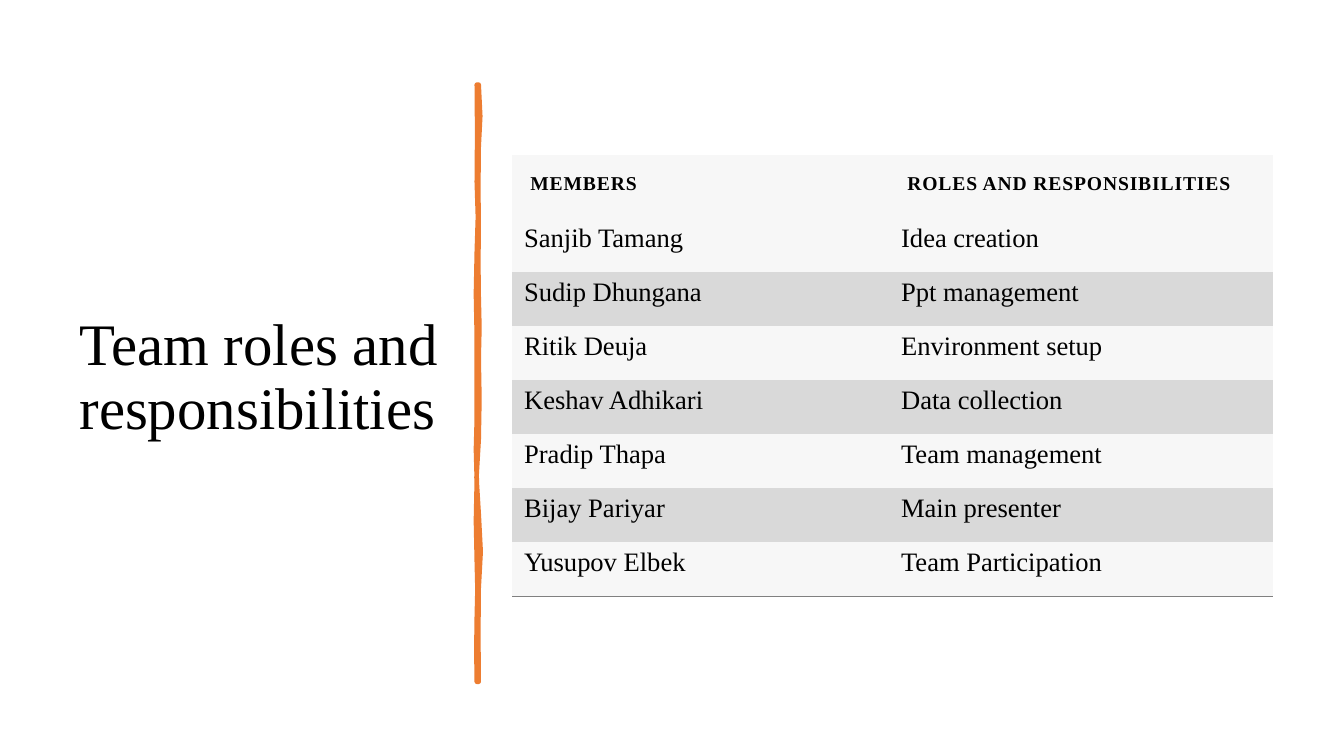
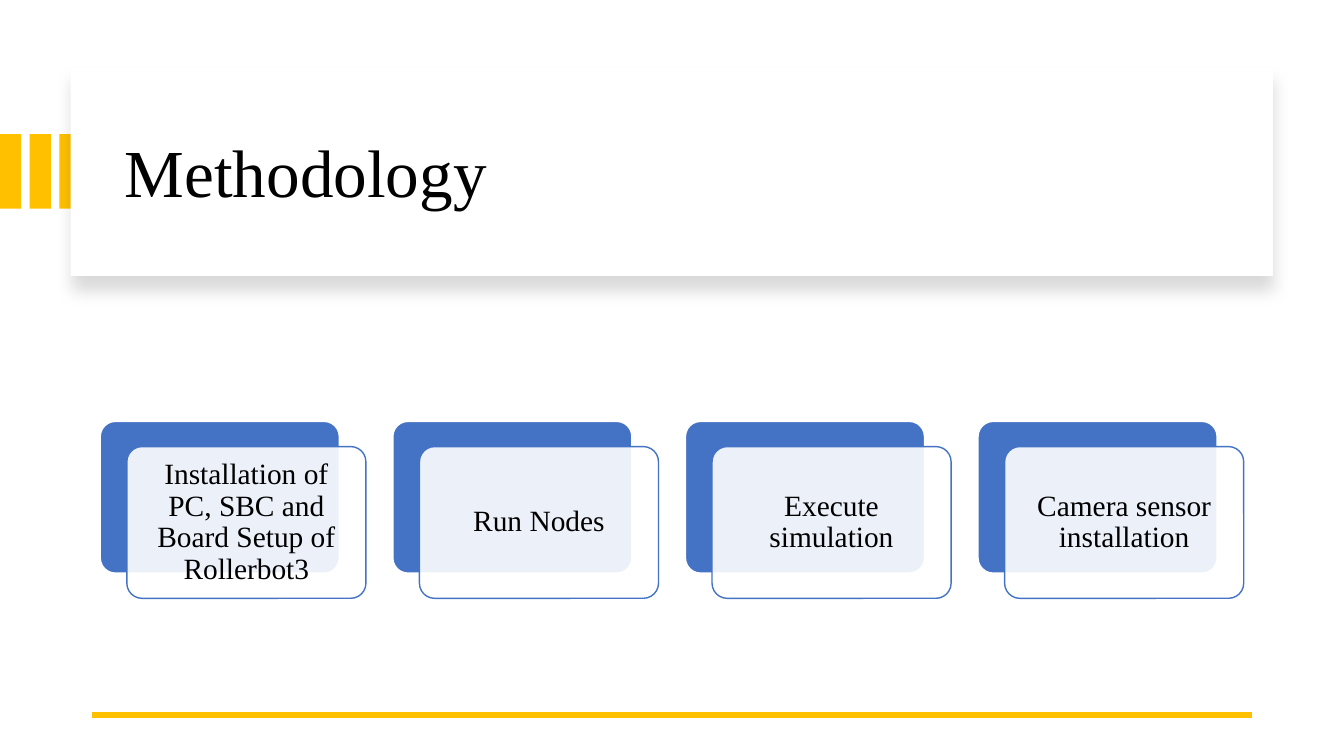
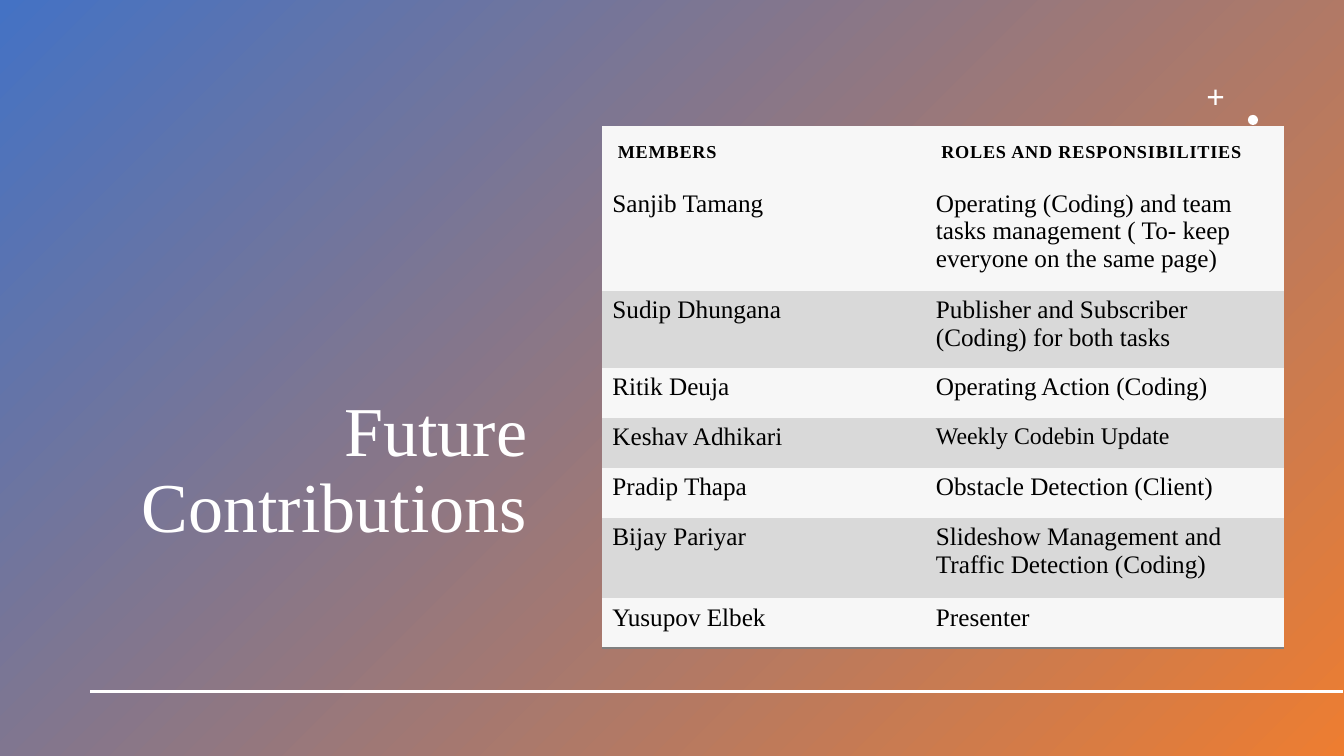
from dataclasses import dataclass

import pptx
import pptx.dml.color
import pptx.enum.shapes
import pptx.enum.text
import pptx.oxml
import pptx.oxml.ns
import pptx.util

Pt = pptx.util.Pt
qn = pptx.oxml.ns.qn
Kind = pptx.enum.shapes.MSO_SHAPE
Anchor = pptx.enum.text.MSO_ANCHOR
Align = pptx.enum.text.PP_ALIGN

FONT = "Times New Roman"
COLORS = {
    "text": "000000", "paper": "FFFFFF", "blue": "4472C4", "orange": "ED7D31",
    "gold": "FFC000", "light_row": "F7F7F7", "dark_row": "D9D9D9", "rule": "808080",
}
WIDTH, HEIGHT = 960, 540
NAMESPACE = pptx.oxml.ns.nsdecls("a")
NO_TABLE_STYLE = "{2D5ABB26-0587-4C30-8999-92F81FD0307C}"
MEMBERS = ("Sanjib Tamang", "Sudip Dhungana", "Ritik Deuja", "Keshav Adhikari",
           "Pradip Thapa", "Bijay Pariyar", "Yusupov Elbek")


@dataclass(frozen=True)
class Box:
    left: float
    top: float
    width: float
    height: float

    def lengths(self) -> tuple:
        return Pt(self.left), Pt(self.top), Pt(self.width), Pt(self.height)


@dataclass(frozen=True)
class Duty:
    text: str
    size: float | None = None


@dataclass(frozen=True)
class RolesTable:
    box: Box
    columns: tuple[float, float]
    row_heights: tuple[float, ...]
    header_size: float
    header_inset: float
    body_size: float
    body_inset: float
    duties: tuple[Duty, ...]


# Shared helpers
def rgb(name: str):
    return pptx.dml.color.RGBColor.from_string(COLORS[name])


def write_text(frame, text: str, *, size: float, color: str = "text", bold: bool = False,
               align=Align.LEFT, line_spacing: float = 1.0, tracking: float = 0) -> None:
    frame.word_wrap = True
    paragraph = frame.paragraphs[0]
    paragraph.alignment = align
    paragraph.line_spacing = line_spacing
    run = paragraph.add_run()
    run.text = text
    run.font.name = FONT
    run.font.size = Pt(size)
    run.font.bold = bold
    run.font.color.rgb = rgb(color)
    if tracking:
        run.font._element.set("spc", str(round(tracking * 100)))


def set_insets(holder, side: float, top: float) -> None:
    holder.margin_left = holder.margin_right = holder.margin_bottom = Pt(side)
    holder.margin_top = Pt(top)


def add_title(slide, text: str, box: Box, *, size: float, anchor=Anchor.MIDDLE,
              color: str = "text", align=Align.LEFT) -> None:
    frame = slide.shapes.add_textbox(*box.lengths()).text_frame
    frame.vertical_anchor = anchor
    write_text(frame, text, size=size, color=color, align=align, line_spacing=0.9)


def add_block(slide, kind, box: Box, fill: str, *, line: str | None = None,
              corner: float | None = None, opacity: int = 100):
    block = slide.shapes.add_shape(kind, *box.lengths())
    block.shadow.inherit = False
    block.fill.solid()
    block.fill.fore_color.rgb = rgb(fill)
    if opacity < 100:
        color = block._element.spPr.find(qn("a:solidFill"))[0]
        color.append(pptx.oxml.parse_xml(f'<a:alpha {NAMESPACE} val="{opacity * 1000}"/>'))
    if line:
        block.line.color.rgb = rgb(line)
        block.line.width = Pt(1)
    else:
        block.line.fill.background()
    if corner is not None:
        block.adjustments[0] = corner
    return block


def add_rule(slide, left: float, right: float, y: float, color: str, weight: float) -> None:
    rule = slide.shapes.add_connector(pptx.enum.shapes.MSO_CONNECTOR.STRAIGHT,
                                      Pt(right), Pt(y), Pt(left), Pt(y))
    rule.line.color.rgb = rgb(color)
    rule.line.width = Pt(weight)
    rule._element.spPr.append(pptx.oxml.parse_xml(f"<a:effectLst {NAMESPACE}/>"))


def add_bottom_border(cell) -> None:
    cell._tc.get_or_add_tcPr().insert(0, pptx.oxml.parse_xml(
        f'<a:lnB {NAMESPACE} w="{Pt(1)}"><a:solidFill><a:srgbClr val="{COLORS["rule"]}"/>'
        "</a:solidFill></a:lnB>"))


def add_roles_table(slide, roles: RolesTable) -> None:
    last = len(MEMBERS)
    table = slide.shapes.add_table(last + 1, 2, *roles.box.lengths()).table
    table.first_row = table.horz_banding = False
    table._tbl.tblPr.find(qn("a:tableStyleId")).text = NO_TABLE_STYLE
    for column, width in zip(table.columns, roles.columns):
        column.width = Pt(width)
    for row, height in zip(table.rows, roles.row_heights):
        row.height = Pt(height)
    headings = (Duty("MEMBERS"), Duty("ROLES AND RESPONSIBILITIES"))
    lines = [headings, *zip(map(Duty, MEMBERS), roles.duties)]
    for index, line in enumerate(lines):
        shade = "dark_row" if index and index % 2 == 0 else "light_row"
        for cell, entry in zip(table.rows[index].cells, line):
            cell.fill.solid()
            cell.fill.fore_color.rgb = rgb(shade)
            if index == 0:
                set_insets(cell, roles.header_inset, roles.header_inset)
                write_text(cell.text_frame, entry.text, size=roles.header_size,
                           bold=True, tracking=0.6)
            else:
                set_insets(cell, roles.body_inset, roles.body_inset / 2)
                write_text(cell.text_frame, entry.text, size=entry.size or roles.body_size)
            if index == last:
                add_bottom_border(cell)


# Slide 1: team roles
BRUSH_RIGHT = ((342, 60.5), (343.1, 83), (342, 105), (341.7, 134), (342, 163), (341.7, 187),
               (342, 212), (342.5, 234), (342, 256), (342.5, 285), (342, 314), (340.4, 341),
               (342, 367), (343.4, 394), (342, 420), (341.7, 453), (342, 487))
BRUSH_LEFT = ((340.6, 487), (340.3, 464), (340.6, 441), (341.1, 421), (340.6, 401), (340, 372),
              (340.6, 343), (340, 321), (340.6, 299), (340.6, 270), (340.6, 241), (340, 210),
              (340.6, 180), (341.4, 155), (340.6, 130), (340.9, 95), (340.6, 60.5))


def add_brush_stroke(slide) -> None:
    start, *rest = [(Pt(x), Pt(y)) for x, y in BRUSH_RIGHT + BRUSH_LEFT]
    builder = slide.shapes.build_freeform(*start)
    builder.add_line_segments(rest, close=True)
    stroke = builder.convert_to_shape()
    stroke.shadow.inherit = False
    stroke.fill.solid()
    stroke.fill.fore_color.rgb = rgb("orange")
    stroke.line.color.rgb = rgb("orange")
    stroke.line.width = Pt(3.25)
    stroke.line._get_or_add_ln().append(pptx.oxml.parse_xml(f"<a:round {NAMESPACE}/>"))


def build_team_roles(slide) -> None:
    add_title(slide, "Team roles and responsibilities", Box(49.7, 50.4, 290.2, 440), size=42)
    add_brush_stroke(slide)
    duties = ("Idea creation", "Ppt management", "Environment setup", "Data collection",
              "Team management", "Main presenter", "Team Participation")
    add_roles_table(slide, RolesTable(
        box=Box(365.8, 110.9, 543.6, 315.2), columns=(269.3, 274.3),
        row_heights=(45,) + (38.6,) * len(MEMBERS), header_size=14, header_inset=13,
        body_size=19, body_inset=8.6, duties=tuple(map(Duty, duties))))


# Slide 2: methodology
def build_methodology(slide) -> None:
    for bar in range(3):
        add_block(slide, Kind.RECTANGLE, Box(21.2 * bar, 95.8, 15.1, 53.3), "gold")
    panel = add_block(slide, Kind.RECTANGLE, Box(50.4, 48.2, 858.9, 149), "paper")
    panel._element.spPr.find(qn("a:effectLst")).append(pptx.oxml.parse_xml(
        f'<a:outerShdw {NAMESPACE} blurRad="{Pt(11)}" dist="{Pt(10)}" dir="5400000" algn="t" '
        f'rotWithShape="0"><a:srgbClr val="{COLORS["text"]}"><a:alpha val="15000"/></a:srgbClr>'
        "</a:outerShdw>"))
    add_title(slide, "Methodology", Box(82.1, 64.1, 801.4, 122.4), size=48)
    add_rule(slide, 66, 894.2, 510.5, "gold", 4.5)

    steps = ("Installation of PC, SBC and Board Setup of Rollerbot3", "Run Nodes",
             "Execute simulation", "Camera sensor installation")
    for index, step in enumerate(steps):
        left = 71.6 + 209 * index
        add_block(slide, Kind.ROUNDED_RECTANGLE, Box(left, 301, 170.8, 108.4), "blue",
                  line="paper", corner=0.1)
        card = add_block(slide, Kind.ROUNDED_RECTANGLE, Box(left + 19, 319, 170.8, 108.4),
                         "paper", line="blue", corner=0.1, opacity=90)
        card.text_frame.vertical_anchor = Anchor.MIDDLE
        set_insets(card.text_frame, 9.4, 9.4)
        write_text(card.text_frame, step, size=21, align=Align.CENTER, line_spacing=0.9)


# Slide 3: future contributions
def build_future_contributions(slide) -> None:
    backdrop = add_block(slide, Kind.RECTANGLE, Box(0, 0, WIDTH, HEIGHT), "blue")
    backdrop.fill.gradient()
    backdrop.fill.gradient_angle = 315
    for stop, position, color in zip(backdrop.fill.gradient_stops, (0, 1), ("blue", "orange")):
        stop.position = position
        stop.color.rgb = rgb(color)
    add_title(slide, "Future Contributions", Box(62.6, 108.7, 321.1, 285.8), size=50,
              anchor=Anchor.BOTTOM, color="paper", align=Align.RIGHT)
    add_block(slide, Kind.CROSS, Box(862.8, 64.1, 10.8, 10.8), "paper", corner=0.43)
    add_block(slide, Kind.OVAL, Box(891.4, 82.1, 7.2, 7.2), "paper")
    add_rule(slide, 64.5, 959, 493.9, "paper", 2)
    add_roles_table(slide, RolesTable(
        box=Box(429.8, 90, 487.4, 365.2), columns=(231.1, 256.3),
        row_heights=(41.6, 72, 51.4, 35.7, 35.7, 35.7, 57.6, 35.5),
        header_size=13, header_inset=11.5, body_size=18, body_inset=7.7,
        duties=(
            Duty("Operating (Coding) and team tasks management ( To- keep everyone on the "
                 "same page)"),
            Duty("Publisher and Subscriber (Coding) for both tasks"),
            Duty("Operating Action (Coding)"),
            Duty("Weekly Codebin Update", size=17),
            Duty("Obstacle Detection (Client)"),
            Duty("Slideshow Management and Traffic Detection (Coding)"),
            Duty("Presenter"),
        )))


def main() -> None:
    deck = pptx.Presentation()
    deck.slide_width, deck.slide_height = Pt(WIDTH), Pt(HEIGHT)
    for build in (build_team_roles, build_methodology, build_future_contributions):
        build(deck.slides.add_slide(deck.slide_layouts[6]))
    deck.save("out.pptx")


if __name__ == "__main__":
    main()
